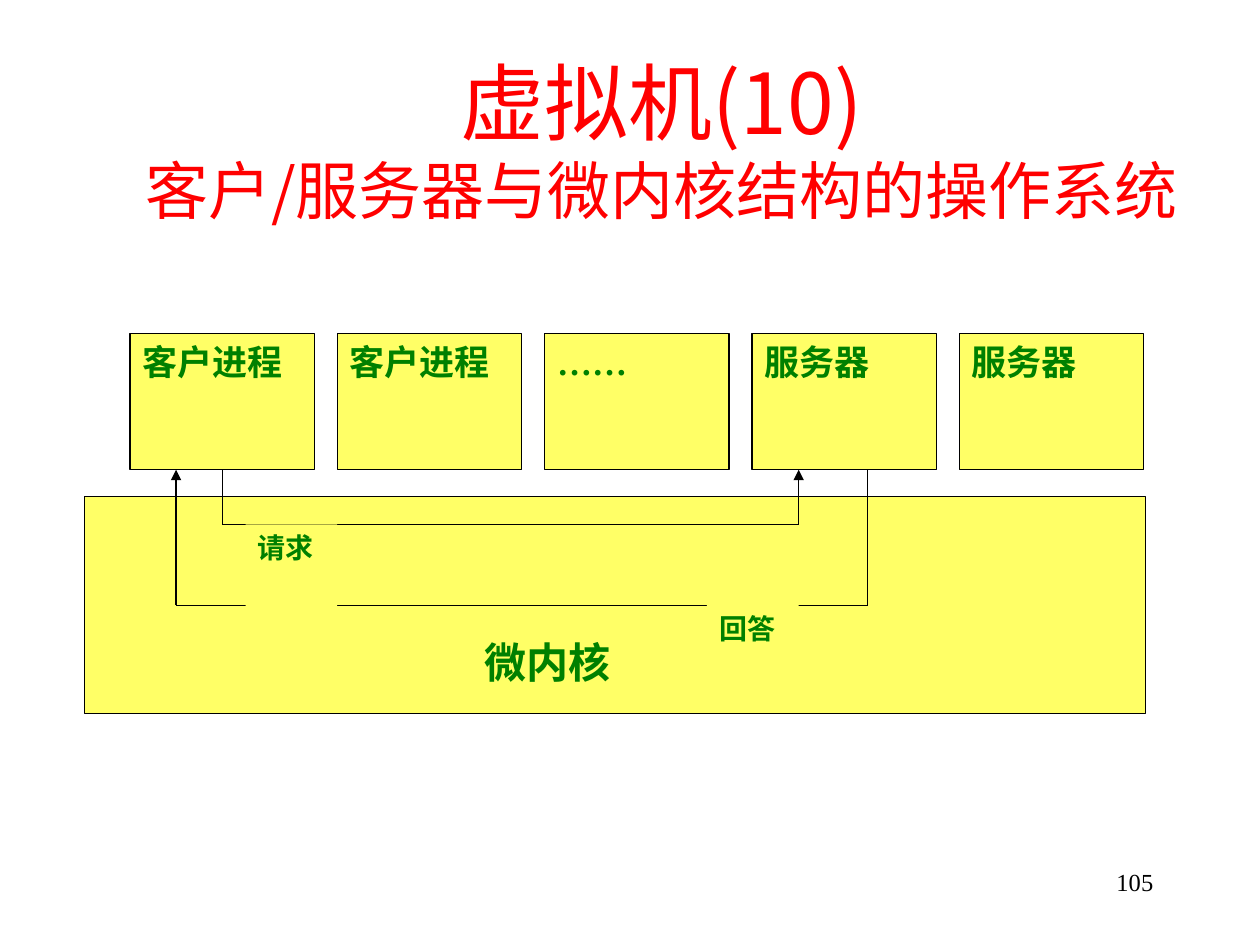
from dataclasses import dataclass
from itertools import pairwise

from lxml import etree
from pptx import Presentation
from pptx import util as u
from pptx.dml.color import RGBColor
from pptx.enum import shapes, text
from pptx.oxml import ns

Cm, Pt = u.Cm, u.Pt
ALIGN = text.PP_ALIGN


@dataclass(frozen=True)
class Theme:
    fill: RGBColor = RGBColor(0xFF, 0xFF, 0x66)
    line: RGBColor = RGBColor(0, 0, 0)
    label: RGBColor = RGBColor(0, 0x80, 0)
    title: RGBColor = RGBColor(0xFF, 0, 0)
    font: str = "Times New Roman"
    title_font: str = "Noto Sans CJK SC"
    title_size: int = 48
    subtitle_size: int = 36
    kernel_size: int = 24
    process_size: int = 20
    message_size: int = 16
    number_size: int = 14
    stroke: float = 0.75


THEME = Theme()


def style(p, size, color, font=THEME.font, bold=False, align=ALIGN.LEFT):
    p.alignment = align
    p.font.size = Pt(size)
    p.font.color.rgb = color
    p.font.name = font
    p.font.bold = bold


def add_box(s, x, y, w, h, label="", size=THEME.process_size,
            outlined=True, align=ALIGN.JUSTIFY):
    box = s.shapes.add_shape(shapes.MSO_SHAPE.RECTANGLE, Cm(x), Cm(y), Cm(w), Cm(h))
    box.shadow.inherit = False
    box.fill.solid()
    box.fill.fore_color.rgb = THEME.fill
    if outlined:
        box.line.color.rgb = THEME.line
        box.line.width = Pt(THEME.stroke)
    else:
        box.line.fill.background()
    if label:
        tf = box.text_frame
        tf.word_wrap = True
        tf.vertical_anchor = text.MSO_ANCHOR.TOP
        tf.text = label
        style(tf.paragraphs[0], size, THEME.label, bold=True, align=align)


def add_text(s, x, y, w, h):
    tf = s.shapes.add_textbox(Cm(x), Cm(y), Cm(w), Cm(h)).text_frame
    tf.word_wrap = True
    return tf


def add_title(s, title, subtitle):
    tf = add_text(s, 2.54, 1, 21.59, 5.1)
    tf.margin_top = tf.margin_bottom = 0
    tf.text = f"{title}\n{subtitle}"
    rows = ((THEME.title_size, 58), (THEME.subtitle_size, 43.4))
    for p, (size, spacing) in zip(tf.paragraphs, rows):
        p.line_spacing = Pt(spacing)
        style(p, size, THEME.title, THEME.title_font, align=ALIGN.CENTER)
        for r in p.runs:
            ea = etree.SubElement(r._r.get_or_add_rPr(), ns.qn("a:ea"))
            ea.set("typeface", THEME.title_font)


def add_route(s, points):
    for (x1, y1), (x2, y2) in pairwise(points):
        line = s.shapes.add_connector(
            shapes.MSO_CONNECTOR.STRAIGHT, Cm(x1), Cm(y1), Cm(x2), Cm(y2))
        line.line.color.rgb = THEME.line
        line.line.width = Pt(THEME.stroke)
        etree.SubElement(line._element.spPr, ns.qn("a:effectLst"))
    etree.SubElement(line.line._get_or_add_ln(), ns.qn("a:tailEnd"), type="triangle")


def main():
    prs = Presentation()
    prs.slide_width, prs.slide_height = Cm(25.4), Cm(19.05)
    s = prs.slides.add_slide(prs.slide_layouts[6])

    add_title(s, "虚拟机(10)", "客户/服务器与微内核结构的操作系统")

    left, top, width, height, pitch = 2.62, 6.73, 3.72, 2.74, 4.18
    bottom = top + height
    for i, label in enumerate(("客户进程", "客户进程", "……", "服务器", "服务器")):
        add_box(s, left + i * pitch, top, width, height, label)
    add_box(s, 1.7, 10.01, 21.39, 4.37)

    request_y, reply_y = 10.57, 12.2
    for start, end, y in ((4.48, 16.1, request_y), (17.49, 3.55, reply_y)):
        add_route(s, ((start, bottom), (start, y), (end, y), (end, bottom)))

    for label, x, y in (("请求", 4.95, request_y), ("回答", 14.25, reply_y)):
        add_box(s, x, y, 1.85, 1.65, label, THEME.message_size, outlined=False)
    add_box(s, 9.52, 12.7, 3.6, 1.27, "微内核", THEME.kernel_size,
            outlined=False, align=ALIGN.LEFT)

    tf = add_text(s, 18.2, 17.36, 5.3, 1.27)
    tf.text = "105"
    style(tf.paragraphs[0], THEME.number_size, THEME.line, align=ALIGN.RIGHT)

    prs.save("out.pptx")


if __name__ == "__main__":
    main()
